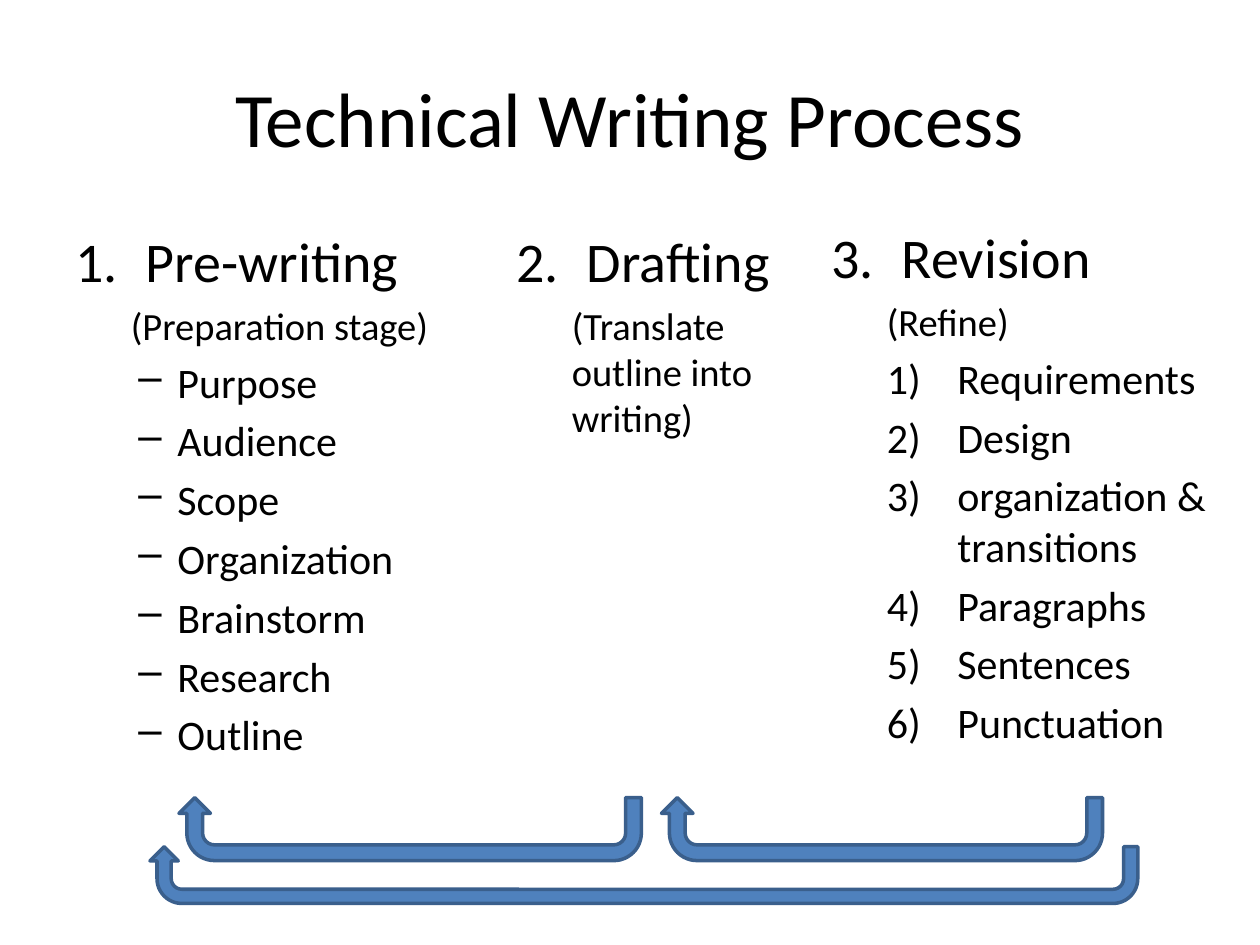
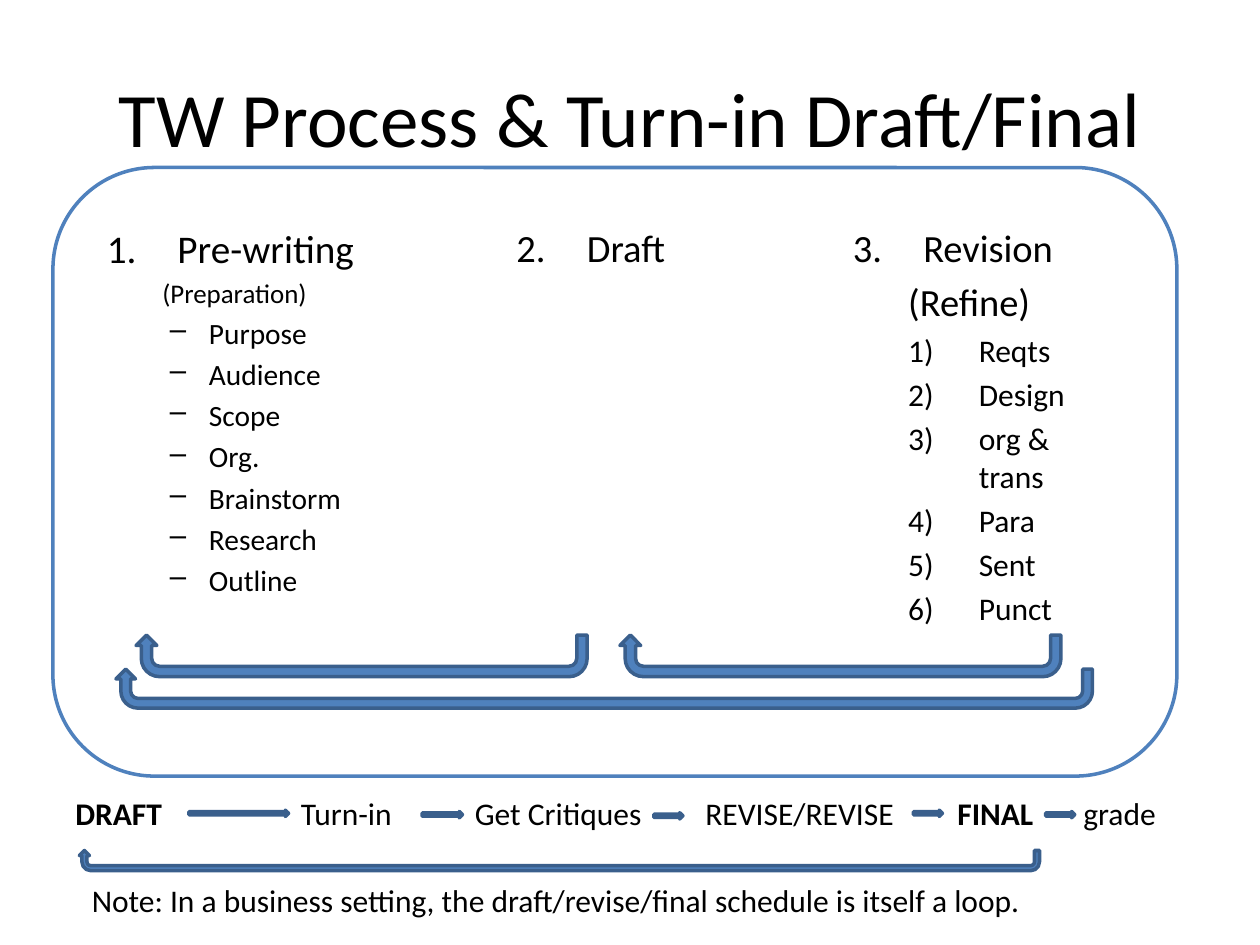
"""Build two slides on the technical writing process and its turn-in loop."""
from typing import NamedTuple

from lxml import etree
from pptx import Presentation
from pptx import util as u
from pptx.dml.color import RGBColor
from pptx.enum import shapes, text
from pptx.oxml.ns import qn

PX = 9144
FONT, INK, PAPER, BLUE, EDGE = "Calibri", "000000", "FFFFFF", "4F81BD", "3A5F8C"
TITLE_BOX = (50, 30, 900, 125)
UTURN = (0.25, 0.25, 0.25, 0.4375, 1)
TOP = text.MSO_ANCHOR.TOP
MIDDLE = text.MSO_ANCHOR.MIDDLE


class Style(NamedTuple):
    """Indents and bullet of one kind of paragraph."""
    level: int
    left: int
    hang: int
    bullet: str = "buNone"
    attrs: tuple = ()


class Column(NamedTuple):
    """One stage of the process: its heading, remark and items."""
    box: tuple
    number: int
    heading: str
    remark: str
    items: tuple
    item_style: Style
    sizes: tuple


class Loop(NamedTuple):
    """A return arrow below the stages."""
    x: int
    y: int
    w: int
    h: int


class Step(NamedTuple):
    """One stop of the turn-in row, with its tab position."""
    label: str
    tab: int
    bold: bool = False


REMARK = Style(1, 44, 0)
DASH = Style(1, 81, -31, "buChar", (("char", "–"),))
COUNT = Style(1, 100, -56, "buAutoNum", (("type", "arabicParenR"),))

PROCESS = (
    Column((50, 175, 325, 495), 1, "Pre-writing", "(Preparation stage)",
           ("Purpose", "Audience", "Scope", "Organization", "Brainstorm",
            "Research", "Outline"), DASH, (32, 22, 24)),
    Column((400, 175, 250, 495), 2, "Drafting",
           "(Translate outline into writing)", (), DASH, (32, 22, 24)),
    Column((650, 172, 317, 495), 3, "Revision", "(Refine)",
           ("Requirements", "Design", "organization & transitions",
            "Paragraphs", "Sentences", "Punctuation"), COUNT, (32, 22, 24)),
)
TURN_IN = (
    Column((75, 173, 308, 275), 1, "Pre-writing", "(Preparation)",
           ("Purpose", "Audience", "Scope", "Org.", "Brainstorm",
            "Research", "Outline"), DASH, (22.4, 15.4, 16.8)),
    Column((400, 173, 175, 250), 2, "Draft", "", (), DASH, (22, 22, 18)),
    Column((667, 173, 217, 342), 3, "Revision", "(Refine)",
           ("Reqts", "Design", "org & trans", "Para", "Sent", "Punct"),
           COUNT, (22, 22, 18)),
)
PROCESS_LOOPS = (Loop(142, 633, 367, 50), Loop(525, 633, 350, 50),
                 Loop(119, 672, 784, 45))
TURN_IN_LOOPS = (Loop(108, 504, 358, 33), Loop(492, 504, 350, 33),
                 Loop(92, 531, 775, 31), Loop(63, 675, 762, 16))
STEPS = (Step("DRAFT", 0, True), Step("Turn-in", 179),
         Step("Get Critiques", 317), Step("REVISE/REVISE", 500),
         Step("FINAL", 700, True), Step("grade", 800))
STEP_ARROWS = ((150, 643, 79), (335, 644, 32), (519, 645, 23),
               (725, 643, 23), (830, 644, 23))
NOTE = ("Note: In a business setting, the draft/revise/final schedule "
        "is itself a loop.")


def color(value: str) -> RGBColor:
    """Turn a hex string into a colour."""
    return RGBColor.from_string(value)


def emu(box: tuple) -> list:
    """Scale px lengths to EMU."""
    return [u.Emu(v * PX) for v in box]


def apply(obj, formats: dict) -> None:
    """Set each attribute named in formats."""
    for name, value in formats.items():
        setattr(obj, name, value)


def add_box(s, box: tuple, anchor=TOP, wrap: bool = True):
    """Add an empty text box and return its text frame."""
    tf = s.shapes.add_textbox(*emu(box)).text_frame
    apply(tf, {"word_wrap": wrap, "vertical_anchor": anchor,
               "auto_size": text.MSO_AUTO_SIZE.NONE})
    return tf


def add_run(p, words: str, size: float, bold: bool = False) -> None:
    """Add a run in the shared font and ink."""
    r = p.add_run()
    r.text = words
    apply(r.font, {"name": FONT, "size": u.Pt(size), "bold": bold})
    r.font.color.rgb = color(INK)


def set_style(p, style: Style) -> None:
    """Give a paragraph its indents, space before and bullet."""
    p.level = style.level
    pPr = p._p.get_or_add_pPr()
    pPr.set("marL", str(style.left * PX))
    pPr.set("indent", str(style.hang * PX))
    before = etree.SubElement(pPr, qn("a:spcBef"))
    etree.SubElement(before, qn("a:spcPct")).set("val", "20000")
    bullet = etree.SubElement(pPr, qn("a:" + style.bullet))
    for name, value in style.attrs:
        bullet.set(name, value)


def add_shape(s, kind, box: tuple, fill: str, line: str):
    """Add a flat preset shape."""
    sp = s.shapes.add_shape(kind, *emu(box))
    sp.shadow.inherit = False
    sp.fill.solid()
    sp.fill.fore_color.rgb = color(fill)
    sp.line.color.rgb = color(line)
    sp.line.width = u.Pt(2)
    return sp


def add_loop(s, loop: Loop) -> None:
    """Draw a U-turn arrow that points back up on the left."""
    sp = add_shape(s, shapes.MSO_SHAPE.U_TURN_ARROW, loop, BLUE, EDGE)
    sp.rotation = 180
    for i, value in enumerate(UTURN):
        sp.adjustments[i] = value


def add_column(s, col: Column) -> None:
    """Write a numbered heading, its remark and its items."""
    tf = add_box(s, col.box)
    heading = Style(0, 56, -56, "buAutoNum",
                    (("type", "arabicPeriod"), ("startAt", str(col.number))))
    head, remark, item = col.sizes
    lines = [(col.heading, heading, head)]
    if col.remark:
        lines.append((col.remark, REMARK, remark))
    lines += [(name, col.item_style, item) for name in col.items]
    for i, (words, style, size) in enumerate(lines):
        p = tf.add_paragraph() if i else tf.paragraphs[0]
        set_style(p, style)
        add_run(p, words, size)


def add_title(s, words: str) -> None:
    """Write the centred slide title."""
    p = add_box(s, TITLE_BOX, MIDDLE).paragraphs[0]
    p.alignment = text.PP_ALIGN.CENTER
    add_run(p, words, 44)


def add_steps(s) -> None:
    """Write the turn-in row on tab stops, with its arrows."""
    p = add_box(s, (50, 625, 917, 40)).paragraphs[0]
    tabs = etree.SubElement(p._p.get_or_add_pPr(), qn("a:tabLst"))
    for i, step in enumerate(STEPS):
        if i:
            tab = etree.SubElement(tabs, qn("a:tab"))
            tab.set("pos", str(step.tab * PX))
            tab.set("algn", "l")
        add_run(p, ("\t" if i else "") + step.label, 18, step.bold)
    for x, y, w in STEP_ARROWS:
        add_shape(s, shapes.MSO_SHAPE.RIGHT_ARROW, (x, y, w, 5), BLUE, EDGE)


def add_stages(s, title: str, columns: tuple, loops: tuple) -> None:
    """Draw what both slides share: title, stages and return arrows."""
    add_title(s, title)
    for col in columns:
        add_column(s, col)
    for loop in loops:
        add_loop(s, loop)


def main() -> None:
    """Build and save the presentation."""
    prs = Presentation()
    prs.slide_width, prs.slide_height = emu((1000, 750))
    blank = prs.slide_layouts[6]

    s = prs.slides.add_slide(blank)
    add_stages(s, "Technical Writing Process", PROCESS, PROCESS_LOOPS)

    s = prs.slides.add_slide(blank)
    add_shape(s, shapes.MSO_SHAPE.ROUNDED_RECTANGLE, (42, 133, 892, 483),
              PAPER, BLUE)
    add_stages(s, "TW Process & Turn-in Draft/Final", TURN_IN, TURN_IN_LOOPS)
    add_steps(s)
    add_run(add_box(s, (63, 694, 761, 40), wrap=False).paragraphs[0], NOTE, 18)

    prs.save("out.pptx")


if __name__ == "__main__":
    main()
